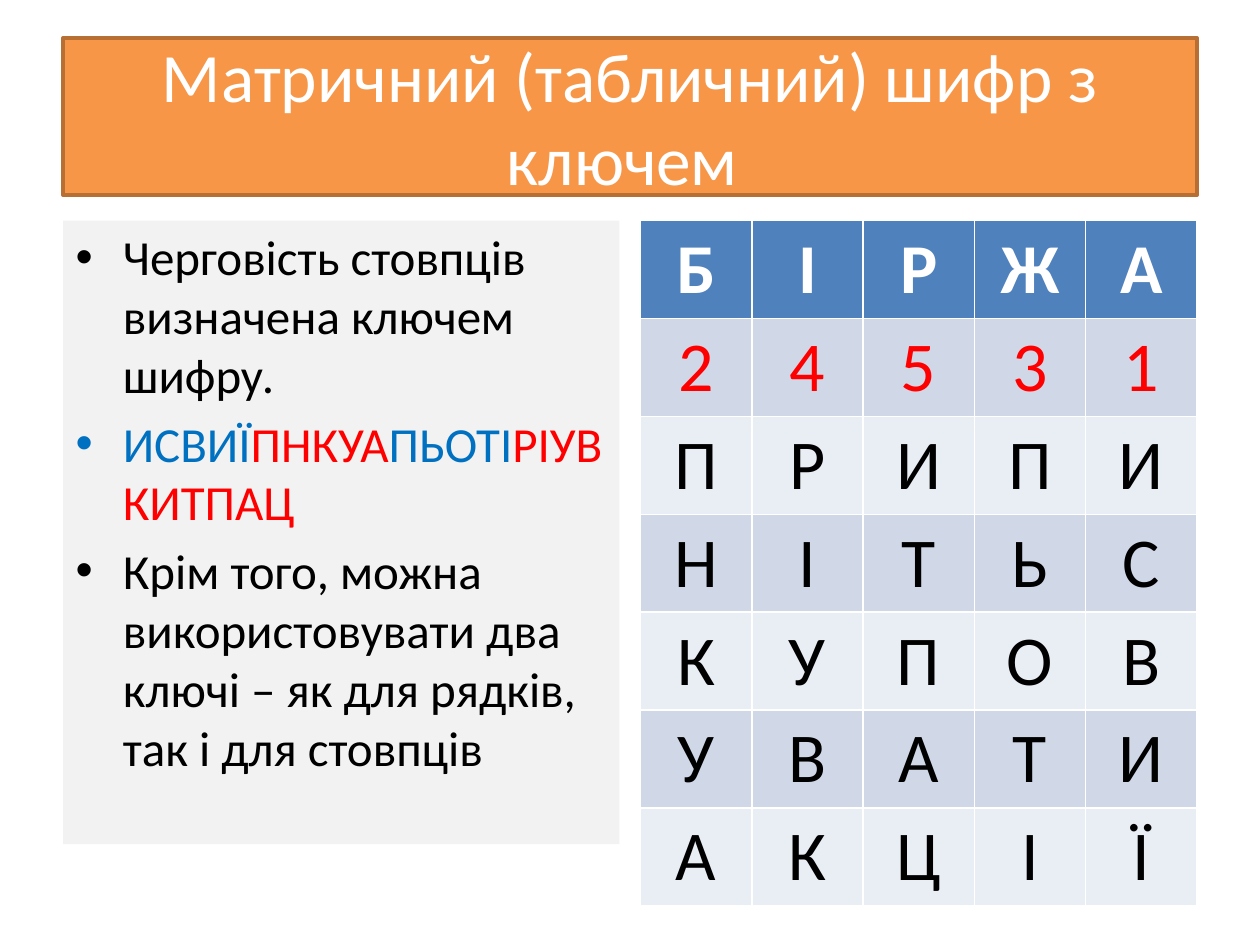
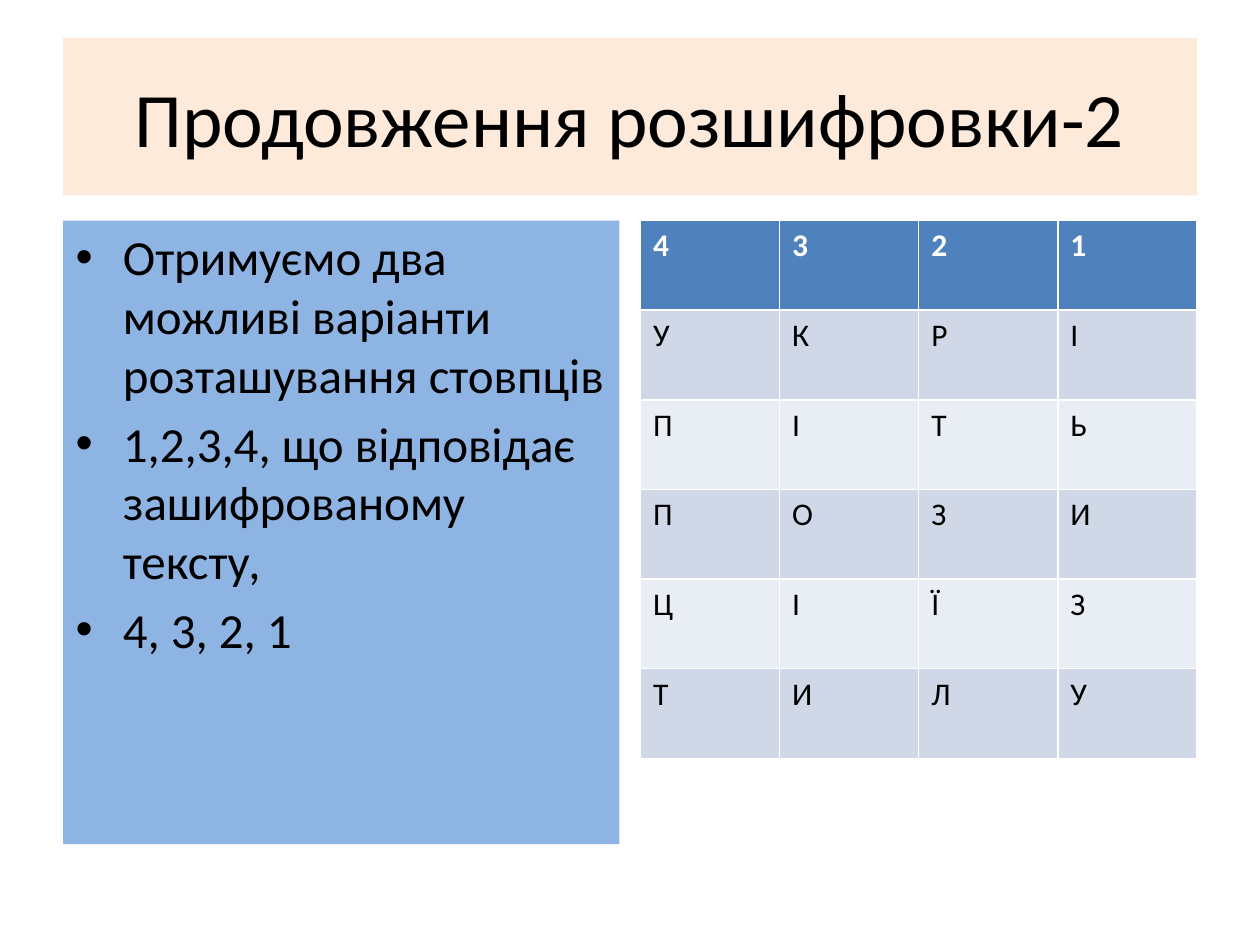
from pptx import Presentation
from pptx.dml.color import RGBColor
from pptx.enum import text
from pptx.util import Pt

COLORS = {
    "black": "000000", "white": "FFFFFF", "red": "FF0000", "blue": "0070C0",
    "orange": "F79646", "rust": "B76F34", "peach": "FDEADA",
    "gray": "F2F2F2", "sky": "8EB4E3",
    "header": "4F81BD", "band_dark": "D0D8E8", "band_light": "E9EDF4",
}
FONT = "Calibri"
MARGIN, GAP = 36, 12
SLIDE_W, SLIDE_H = 720, 540
TITLE_TOP, TITLE_H = 21.6, 90
CONTENT_TOP, BODY_H = 126, 356.4
COLUMN_W = (SLIDE_W - 2 * MARGIN - GAP) / 2


def rgb(name):
    return RGBColor.from_string(COLORS[name])


def write(p, content, size=28, color="black", bold=False, align=None, before=0):
    """Fill a paragraph with a string or with (string, colour) pairs."""
    p.alignment = align
    p.space_before = Pt(before)
    runs = [(content, color)] if isinstance(content, str) else content
    for words, run_color in runs:
        r = p.add_run()
        r.text = words
        r.font.name = FONT
        r.font.size = Pt(size)
        r.font.bold = bold
        r.font.color.rgb = rgb(run_color)


class Deck:
    def __init__(self):
        self.prs = Presentation()
        self.prs.slide_width, self.prs.slide_height = Pt(SLIDE_W), Pt(SLIDE_H)
        self.s = None

    def new_slide(self):
        self.s = self.prs.slides.add_slide(self.prs.slide_layouts[1])

    def place(self, sp, left, top, width, height, fill):
        """Position and fill a placeholder, and return its text frame."""
        sp.left, sp.top, sp.width, sp.height = map(Pt, (left, top, width, height))
        sp.fill.solid()
        sp.fill.fore_color.rgb = rgb(fill)
        tf = sp.text_frame
        tf.word_wrap = True
        tf.auto_size = text.MSO_AUTO_SIZE.NONE
        return tf

    def title(self, content, fill, size=44, color="black", line=None):
        sp = self.s.shapes.title
        tf = self.place(sp, MARGIN, TITLE_TOP, SLIDE_W - 2 * MARGIN, TITLE_H, fill)
        tf.vertical_anchor = text.MSO_ANCHOR.MIDDLE
        if line:
            sp.line.color.rgb = rgb(line)
            sp.line.width = Pt(2)
        write(tf.paragraphs[0], content, size=size, color=color,
              align=text.PP_ALIGN.CENTER)

    def bullets(self, items, fill):
        tf = self.place(self.s.placeholders[1], MARGIN, CONTENT_TOP,
                        COLUMN_W, BODY_H, fill)
        for i, item in enumerate(items):
            p = tf.add_paragraph() if i else tf.paragraphs[0]
            write(p, item, before=5.6 if i else 0)

    def table(self, rows, row_h, size, align=None, key_rows=()):
        """Add a letter grid; each string is a row, key_rows are set in red."""
        n_cols = len(rows[0])
        frame = self.s.shapes.add_table(
            len(rows), n_cols, Pt(MARGIN + COLUMN_W + GAP), Pt(CONTENT_TOP),
            Pt(COLUMN_W), Pt(row_h * len(rows)))
        for col in frame.table.columns:
            col.width = Pt(COLUMN_W / n_cols)
        for i, letters in enumerate(rows):
            frame.table.rows[i].height = Pt(row_h)
            if i == 0:
                fill, color = "header", "white"
            else:
                fill = "band_dark" if i % 2 else "band_light"
                color = "red" if i in key_rows else "black"
            for j, letter in enumerate(letters):
                cell = frame.table.cell(i, j)
                cell.fill.solid()
                cell.fill.fore_color.rgb = rgb(fill)
                write(cell.text_frame.paragraphs[0], letter, size=size,
                      color=color, bold=i == 0, align=align)


def main():
    deck = Deck()

    deck.new_slide()
    deck.title("Матричний (табличний) шифр з ключем ", "orange",
               size=39.6, color="white", line="rust")
    deck.bullets([
        "Черговість стовпців визначена ключем шифру.",
        [("ИСВИЇ", "blue"), ("ПНКУА", "red"),
         ("ПЬОТІ", "blue"), ("РІУВКИТПАЦ", "red")],
        "Крім того, можна використовувати два ключі – як для рядків, "
        "так і для стовпців",
    ], "gray")
    deck.table(["БІРЖА", "24531", "ПРИПИ", "НІТЬС", "КУПОВ", "УВАТИ", "АКЦІЇ"],
               row_h=55, size=40, align=text.PP_ALIGN.CENTER, key_rows=(1,))

    deck.new_slide()
    deck.title("Продовження розшифровки-2", "peach")
    deck.bullets([
        "Отримуємо два можливі варіанти розташування стовпців",
        "1,2,3,4, що відповідає зашифрованому тексту,",
        "4, 3, 2, 1",
    ], "sky")
    deck.table(["4321", "УКРІ", "ПІТЬ", "ПОЗИ", "ЦІЇЗ", "ТИЛУ"],
               row_h=51.25, size=18)

    deck.prs.save("out.pptx")


if __name__ == "__main__":
    main()
